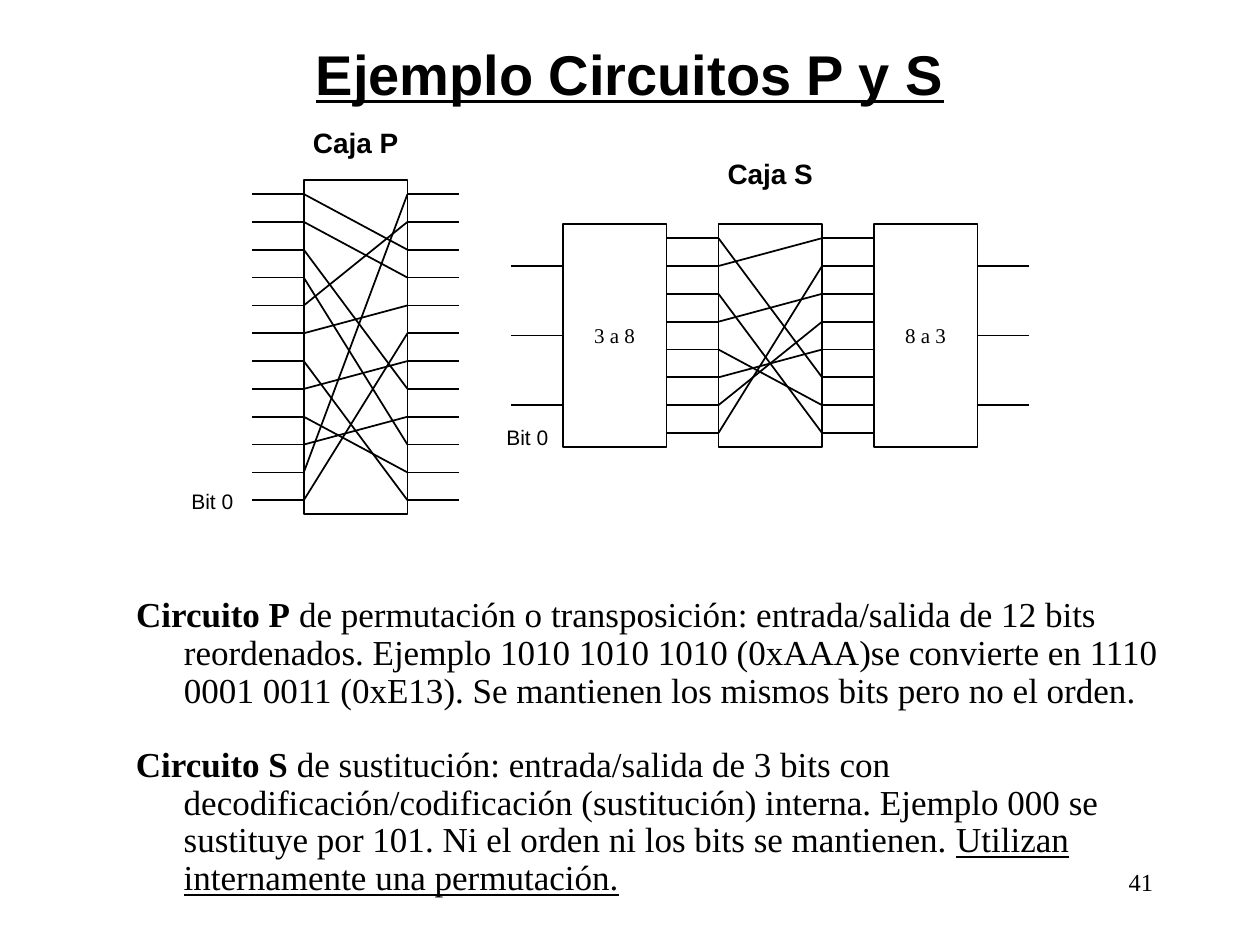
import pptx
import pptx.dml.color
import pptx.enum.shapes
import pptx.enum.text
import pptx.oxml.ns
import pptx.util
import lxml.etree

Inches = pptx.util.Inches
Pt = pptx.util.Pt
Align = pptx.enum.text.PP_ALIGN
Anchor = pptx.enum.text.MSO_ANCHOR
Fit = pptx.enum.text.MSO_AUTO_SIZE
Kind = pptx.enum.shapes.MSO_SHAPE
qn = pptx.oxml.ns.qn

COLORS = {
    name: pptx.dml.color.RGBColor.from_string(code)
    for name, code in {"ink": "000000", "paper": "FFFFFF"}.items()
}
SANS, SERIF = "Arial", "Times New Roman"

# Both circuits share one grid: half-box columns and one row per bit.
LEFT, COL, ROW = 2, 6.17 / 15, 2.43 / 11
P_TOP, S_TOP = 1.43, 1.78
P_ORDER = [2, 3, 7, 9, 1, 4, 11, 6, 10, 8, 0, 5]
S_ORDER = [5, 0, 7, 2, 6, 4, 3, 1]


def write(shape, *runs, font=SERIF, size=12, align=Align.LEFT, anchor=Anchor.TOP,
          inset=(0.1, 0.05), wrap=True, hang=0, leading=1):
    """Fill a shape with one paragraph; each run is (text, bold, underline)."""
    frame = shape.text_frame
    frame.auto_size = Fit.NONE
    frame.word_wrap = wrap
    frame.vertical_anchor = anchor
    frame.margin_left = frame.margin_right = Inches(inset[0])
    frame.margin_top = frame.margin_bottom = Inches(inset[1])
    para = frame.paragraphs[0]
    props = para._p.get_or_add_pPr()
    props.set("marL", str(Inches(hang)))
    props.set("indent", str(Inches(-hang)))
    lxml.etree.SubElement(props, qn("a:buNone"))
    para.alignment = align
    para.line_spacing = leading
    para.space_before = Pt(0)
    for text, bold, under in runs:
        run = para.add_run()
        run.text = text
        run.font.name, run.font.size = font, Pt(size)
        run.font.bold, run.font.underline = bold, under
        run.font.color.rgb = COLORS["ink"]


def wire(col, row, end_col, end_row, top):
    """Join two grid points; row 0 is the first bit below the box top."""
    line = slide.shapes.add_connector(
        pptx.enum.shapes.MSO_CONNECTOR.STRAIGHT,
        Inches(LEFT + col * COL), Inches(top + (row + 0.5) * ROW),
        Inches(LEFT + end_col * COL), Inches(top + (end_row + 0.5) * ROW))
    line.line.color.rgb = COLORS["ink"]
    line.line.width = Pt(1)
    lxml.etree.SubElement(line._element.spPr, qn("a:effectLst"))


deck = pptx.Presentation()
deck.slide_width, deck.slide_height = Inches(10), Inches(7.5)
slide = deck.slides.add_slide(deck.slide_layouts[1])

# Title and texts
title, body = slide.placeholders
number = slide.shapes.add_textbox(0, 0, 0, 0)
note = slide.shapes.add_textbox(0, 0, 0, 0)
for shape, place in [
    (title, (0.75, 0.25, 8.5, 0.66)),
    (body, (0.98, 4.69, 8.5, 1.1)),
    (note, (0.98, 5.88, 8.5, 1.31)),
    (number, (7.17, 6.83, 2.08, 0.5)),
]:
    shape.left, shape.top, shape.width, shape.height = map(Inches, place)

write(title, ("Ejemplo Circuitos P y S", True, True), font=SANS, size=32,
      align=Align.CENTER, anchor=Anchor.MIDDLE)
prose = {"size": 20, "hang": 0.38, "leading": 0.9}
write(body, ("Circuito P", True, False),
      (" de permutación o transposición: entrada/salida de 12 bits reordenados. "
       "Ejemplo 1010 1010 1010 (0xAAA)se convierte en 1110 0001 0011 (0xE13). "
       "Se mantienen los mismos bits pero no el orden.", False, False), **prose)
write(note, ("Circuito S", True, False),
      (" de sustitución: entrada/salida de 3 bits con decodificación/codificación "
       "(sustitución) interna. Ejemplo 000 se sustituye por 101. "
       "Ni el orden ni los bits se mantienen. ", False, False),
      ("Utilizan internamente una permutación.", False, True), **prose)
write(number, ("41", False, False), size=14, align=Align.RIGHT)

# Boxes and their labels: column, top, columns wide, height, line, text, format
head = {"font": SANS, "size": 16}
for col, top, wide, high, edge, text, style in [
    (1, P_TOP, 2, 12 * ROW, "ink", "", {}),
    (6, S_TOP, 2, 8 * ROW, "ink", "", {}),
    (9, S_TOP, 2, 8 * ROW, "ink", "", {}),
    (12, S_TOP, 2, 8 * ROW, "ink", "", {}),
    (1, 0.99, 2, 0.33, "paper", "Caja P", head),
    (9, 1.23, 2, 0.33, "paper", "Caja S", head),
    (6.33, 2.55, 1.33, 0.33, "paper", "3 a 8", {}),
    (12.33, 2.55, 1.33, 0.33, "paper", "8 a 3", {}),
]:
    box = slide.shapes.add_shape(
        Kind.RECTANGLE, Inches(LEFT + col * COL), Inches(top),
        Inches(wide * COL), Inches(high))
    box.shadow.inherit = False
    box.fill.solid()
    box.fill.fore_color.rgb = COLORS["paper"]
    box.line.color.rgb = COLORS[edge]
    box.line.width = Pt(1)
    if text:
        write(box, (text, style is head, False), align=Align.CENTER,
              inset=(0.01, 0.01), **style)

# Permutations, with a lead on each side of every bit
for col, top, order in [(0, P_TOP, P_ORDER), (8, S_TOP, S_ORDER)]:
    for row, goal in enumerate(order):
        wire(col, row, col + 1, row, top)
        wire(col + 1, row, col + 3, goal, top)
        wire(col + 3, row, col + 4, row, top)

# Three bits in and out of the S circuit
for col in (5, 14):
    for row in (1, 3.5, 6):
        wire(col, row, col + 1, row, S_TOP)

for left, top in [(1.42, 3.83), (3.92, 3.32)]:
    label = slide.shapes.add_textbox(
        Inches(left), Inches(top), Inches(0.53), Inches(0.3))
    write(label, ("Bit 0", False, False), font=SANS, wrap=False)

deck.save("out.pptx")
